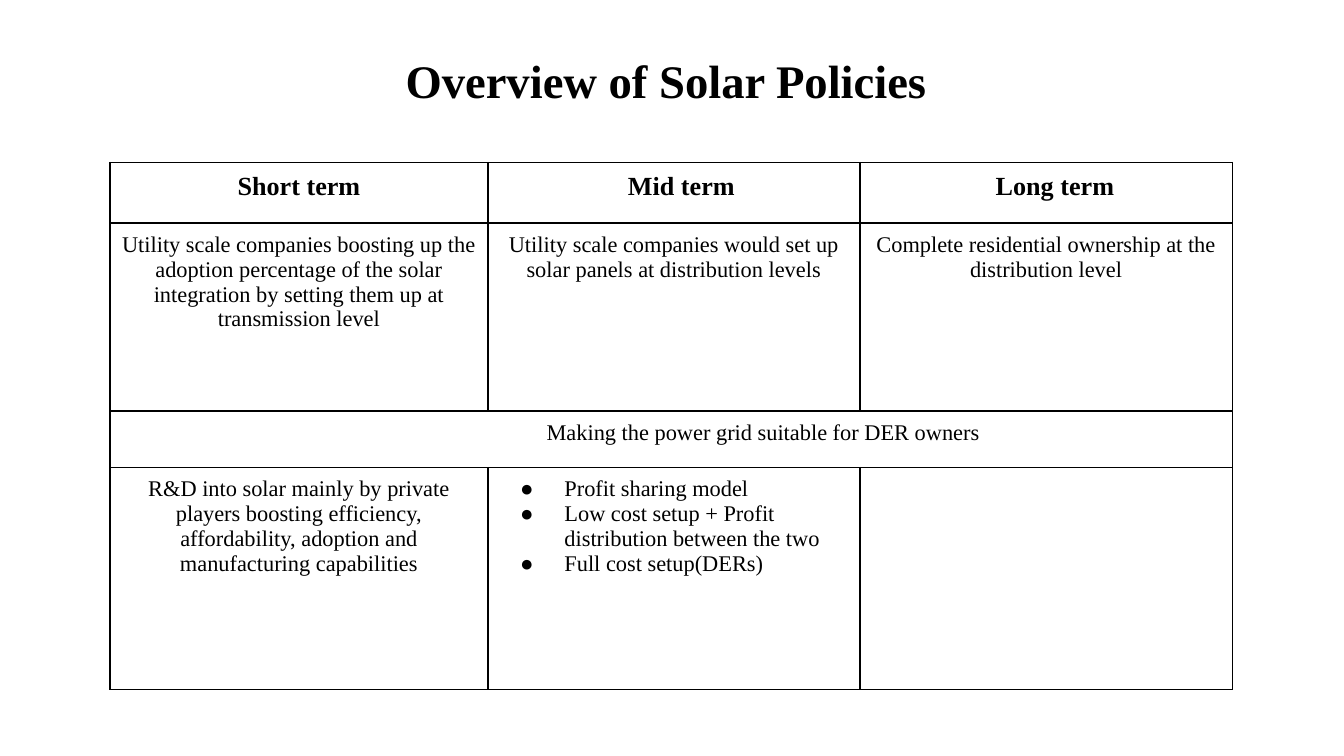
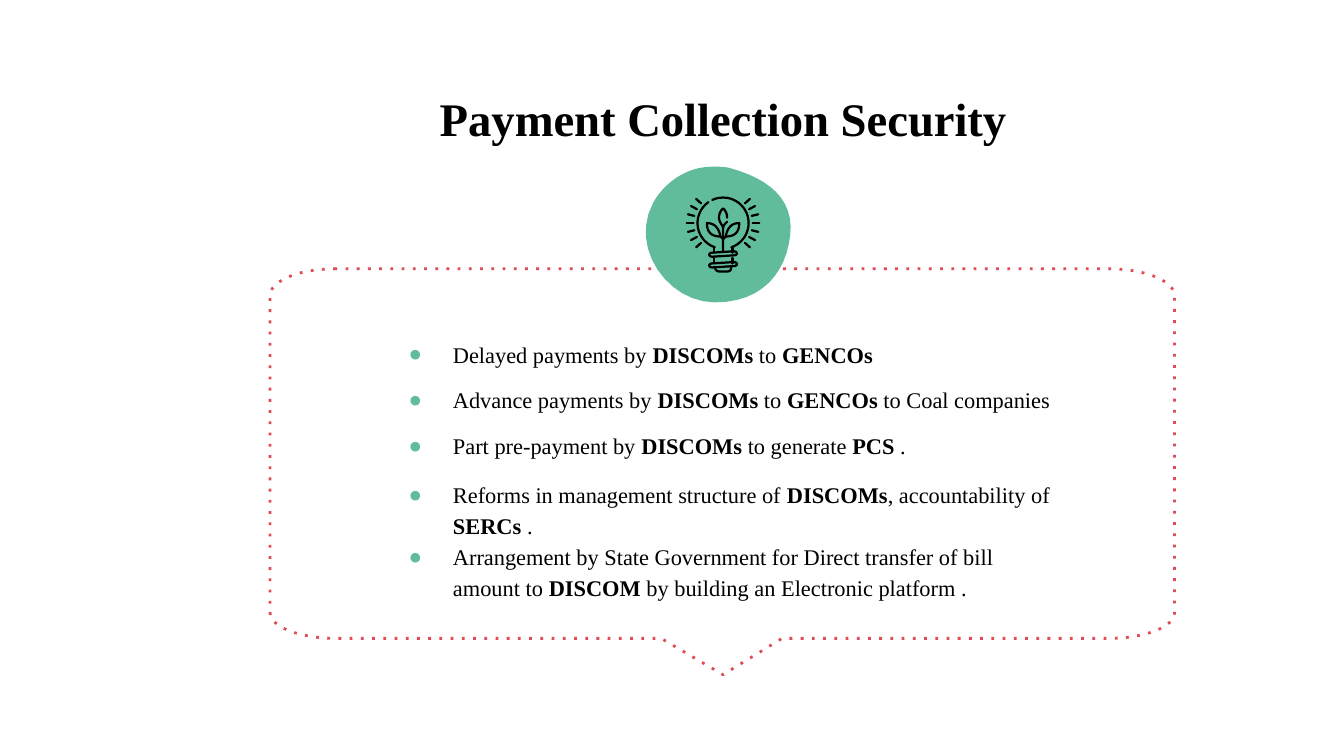
"""Build two slides on solar policies and payment security."""
import math

import pptx
import pptx.dml.color
import pptx.enum.text
import pptx.oxml
import pptx.oxml.ns
import pptx.util
from lxml import etree

THEME = {
    "font": "Times New Roman", "ink": "000000", "green": "61BC9B", "red": "DE4C57",
    "title": 25, "head": 14, "text": 12, "edge": 1, "dots": 1.5, "stroke": 1.2,
}
WIDTH = 10
SIZE = (WIDTH, WIDTH * 9 / 16)

POLICY = {
    "title": "Overview of Solar Policies",
    "place": (0.78, 0.29, 8.35, 0.61),
    "corner": (0.82, 1.21),
    "cols": (2.81, 2.77, 2.77),
    "rows": (0.45, 1.4, 0.42, 1.65),
    "cells": [
        ["Short term", "Mid term", "Long term"],
        ["Utility scale companies boosting up the adoption percentage of the solar "
         "integration by setting them up at transmission level",
         "Utility scale companies would set up solar panels at distribution levels",
         "Complete residential ownership at the distribution level"],
        ["Making the power grid suitable for DER owners"],
        ["R&D into solar mainly by private players boosting efficiency, "
         "affordability, adoption and manufacturing capabilities",
         ["Profit sharing model",
          "Low cost setup + Profit distribution between the two",
          "Full cost setup(DERs)"],
         ""],
    ],
    "shift": {(0, 1): 0.11, (0, 2): 0.13, (2, 0): 1.37},
}

PAYMENT = {
    "title": "Payment Collection Security",
    "place": (2.84, 0.62, 5.08, 0.52),
    "body": (2.87, 2.58, 5.02, 2.06),
    "foot": 0.21,
    "items": [
        ("Delayed payments by *DISCOMs* to *GENCOs*", 0, 1),
        ("Advance payments by *DISCOMs* to *GENCOs* to Coal companies", 10, 1),
        ("Part pre-payment by *DISCOMs* to generate *PCS *.", 10, 1),
        ("Reforms in management structure of *DISCOMs*, accountability of *SERCs *.",
         10, 1.15),
        ("Arrangement by State Government for Direct transfer of bill amount to "
         "*DISCOM* by building an Electronic platform .", 0, 1.15),
    ],
}

FRAME = [(2.5, 2), (2.22, 2, 2.01, 2.09, 2.01, 2.2), (2.01, 4.56),
         (2.01, 4.66, 2.22, 4.75, 2.5, 4.75), (4.92, 4.75), (5.38, 5.02),
         (5.82, 4.75), (8.25, 4.75), (8.53, 4.75, 8.74, 4.66, 8.74, 4.56),
         (8.74, 2.2), (8.74, 2.09, 8.52, 2, 8.25, 2)]
BLOB = [(5.3, 1.24), (5.09, 1.24, 4.93, 1.38, 4.86, 1.51),
        (4.68, 1.84, 4.97, 2.25, 5.32, 2.25), (5.68, 2.25, 5.85, 2.02, 5.88, 1.75),
        (5.91, 1.48, 5.72, 1.33, 5.43, 1.25), (5.39, 1.24, 5.34, 1.24, 5.3, 1.24)]
HUB = (5.38, 1.66)
BULB = 0.19
ARCS = [(-115, 71), (235, 109)]
RAYS = [side + 14 * step for side in (0, 180) for step in range(-3, 4)]
LEAF = [(5.26, 1.66), (5.26, 1.7, 5.27, 1.76, 5.36, 1.76),
        (5.35, 1.7, 5.32, 1.66, 5.26, 1.66)]
SIDE = [(5.31, 1.84), (5.31, 1.88)]
STEM = [
    [(5.41, 1.62), (5.41, 1.59, 5.4, 1.57, 5.38, 1.55),
     (5.36, 1.57, 5.35, 1.59, 5.35, 1.62), (5.35, 1.65, 5.37, 1.67, 5.38, 1.69),
     (5.38, 1.87)],
    [(5.41, 1.65), (5.39, 1.67, 5.38, 1.68, 5.38, 1.7)],
    [(5.36, 1.76), (5.38, 1.78), (5.4, 1.76)],
    [(5.32, 1.99), (5.32, 2.01, 5.34, 2.02, 5.35, 2.02), (5.41, 2.02),
     (5.43, 2.02, 5.44, 2.01, 5.44, 1.99)],
]
BAND = [(5.3, 1.88), (5.46, 1.87), (5.49, 1.87, 5.49, 1.9, 5.46, 1.9),
        (5.3, 1.91), (5.27, 1.91, 5.27, 1.88, 5.3, 1.88)]
PITCH = 0.08


def tint(name):
    return pptx.dml.color.RGBColor.from_string(THEME[name])


def inch(nums):
    return [pptx.util.Inches(num) for num in nums]


def style(para, size, bold=False):
    for run in para.runs:
        run.font.name = THEME["font"]
        run.font.size = pptx.util.Pt(THEME[size])
        run.font.color.rgb = tint("ink")
        run.font.bold = bold


def node(root, tag, **attrs):
    return etree.SubElement(root, pptx.oxml.ns.qn(tag), attrs)


def bullet(para, color):
    prop = para._p.get_or_add_pPr()
    prop.set("marL", str(pptx.util.Inches(0.5)))
    prop.set("indent", str(pptx.util.Inches(-0.33)))
    node(node(prop, "a:buClr"), "a:srgbClr", val=THEME[color])
    node(prop, "a:buFont", typeface=THEME["font"])
    node(prop, "a:buChar", char="●")


def settle(shape, place, foot=0):
    shape.left, shape.top, shape.width, shape.height = inch(place)
    frame = shape.text_frame
    frame.word_wrap = True
    frame.auto_size = pptx.enum.text.MSO_AUTO_SIZE.NONE
    frame.vertical_anchor = pptx.enum.text.MSO_ANCHOR.MIDDLE
    frame.margin_left = frame.margin_right = frame.margin_top = 0
    frame.margin_bottom = pptx.util.Inches(foot)
    return frame


def start(deck, layout, data):
    slide = deck.slides.add_slide(deck.slide_layouts[layout])
    frame = settle(slide.shapes.title, data["place"])
    frame.text = data["title"]
    para = frame.paragraphs[0]
    para.alignment = pptx.enum.text.PP_ALIGN.CENTER
    style(para, "title", True)
    return slide


def border(cell):
    prop = cell._tc.get_or_add_tcPr()
    for edge in "LRTB":
        line = node(prop, "a:ln" + edge, w=str(pptx.util.Pt(THEME["edge"])))
        node(node(line, "a:solidFill"), "a:srgbClr", val=THEME["ink"])
    cell.fill.background()


def fill(cell, entry, head, shift):
    pad = pptx.util.Inches(0.07)
    cell.margin_right = cell.margin_top = cell.margin_bottom = pad
    cell.margin_left = pad + pptx.util.Inches(shift)
    listed = isinstance(entry, list)
    cell.text_frame.text = "\n".join(entry) if listed else entry
    for para in cell.text_frame.paragraphs:
        if listed:
            bullet(para, "ink")
        else:
            para.alignment = pptx.enum.text.PP_ALIGN.CENTER
        style(para, "head" if head else "text", head)


def policy(deck):
    slide = start(deck, 5, POLICY)
    cols, rows = POLICY["cols"], POLICY["rows"]
    place = inch((*POLICY["corner"], sum(cols), sum(rows)))
    table = slide.shapes.add_table(len(rows), len(cols), *place).table
    table.first_row = table.horz_banding = False
    for col, width in zip(table.columns, inch(cols)):
        col.width = width
    for row, height in zip(table.rows, inch(rows)):
        row.height = height
    for cell in table.iter_cells():
        border(cell)
    for y, line in enumerate(POLICY["cells"]):
        if len(line) == 1:
            table.cell(y, 0).merge(table.cell(y, len(cols) - 1))
        for x, entry in enumerate(line):
            fill(table.cell(y, x), entry, y == 0, POLICY["shift"].get((y, x), 0))


def trace(route, steps=12):
    dots = [route[0]]
    for part in route[1:]:
        if len(part) == 2:
            dots.append(part)
            continue
        knots = [dots[-1], part[:2], part[2:4], part[4:]]
        for step in range(1, steps + 1):
            t = step / steps
            dots.append(tuple(
                sum(math.comb(3, k) * (1 - t) ** (3 - k) * t ** k * knots[k][axis]
                    for k in range(4)) for axis in (0, 1)))
    return dots


def draw(slide, routes, close=False):
    pen = None
    for route in routes:
        first, *rest = [tuple(inch(dot)) for dot in trace(route)]
        if pen is None:
            pen = slide.shapes.build_freeform(*first)
        else:
            pen.move_to(*first)
        pen.add_line_segments(rest, close=close)
    shape = pen.convert_to_shape()
    shape.shadow.inherit = False
    shape.fill.background()
    return shape


def stroke(shape, color, width):
    shape.line.color.rgb = tint(color)
    shape.line.width = pptx.util.Pt(THEME[width])
    return shape.element.spPr.find(pptx.oxml.ns.qn("a:ln"))


def polar(angle, reach):
    turn = math.radians(angle)
    return HUB[0] + reach * math.cos(turn), HUB[1] + reach * math.sin(turn)


def mirror(route):
    return [tuple(2 * HUB[0] - num if k % 2 == 0 else num
                  for k, num in enumerate(part)) for part in route]


def lower(route, drop):
    return [tuple(num + drop * (k % 2) for k, num in enumerate(part))
            for part in route]


def icon(slide):
    arcs = [[polar(a + (b - a) * k / 30, BULB) for k in range(31)] for a, b in ARCS]
    neck = [SIDE, lower(SIDE, PITCH)]
    half = [LEAF, *neck]
    bands = [BAND, lower(BAND, PITCH)]
    bulb = arcs + STEM + bands + half + [mirror(route) for route in half]
    rays = [[[polar(angle, 0.22), polar(angle, 0.27)]] for angle in RAYS]
    for routes in [bulb, *rays]:
        stroke(draw(slide, routes), "ink", "stroke").set("cap", "rnd")


def payment(deck):
    slide = start(deck, 1, PAYMENT)
    node(stroke(draw(slide, [FRAME], True), "red", "dots"), "a:prstDash", val="dot")
    frame = settle(slide.placeholders[1], PAYMENT["body"], PAYMENT["foot"])
    for k, (text, gap, pitch) in enumerate(PAYMENT["items"]):
        para = frame.add_paragraph() if k else frame.paragraphs[0]
        bullet(para, "green")
        para.space_before = pptx.util.Pt(gap)
        para.line_spacing = float(pitch)
        for part in text.split("*"):
            if part:
                para.add_run().text = part
        style(para, "text")
        for run in para.runs[1::2]:
            run.font.bold = True
    blob = draw(slide, [BLOB], True)
    blob.fill.solid()
    blob.fill.fore_color.rgb = tint("green")
    blob.line.fill.background()
    icon(slide)


def main():
    deck = pptx.Presentation()
    deck.slide_width, deck.slide_height = inch(SIZE)
    policy(deck)
    payment(deck)
    deck.save("out.pptx")


if __name__ == "__main__":
    main()
